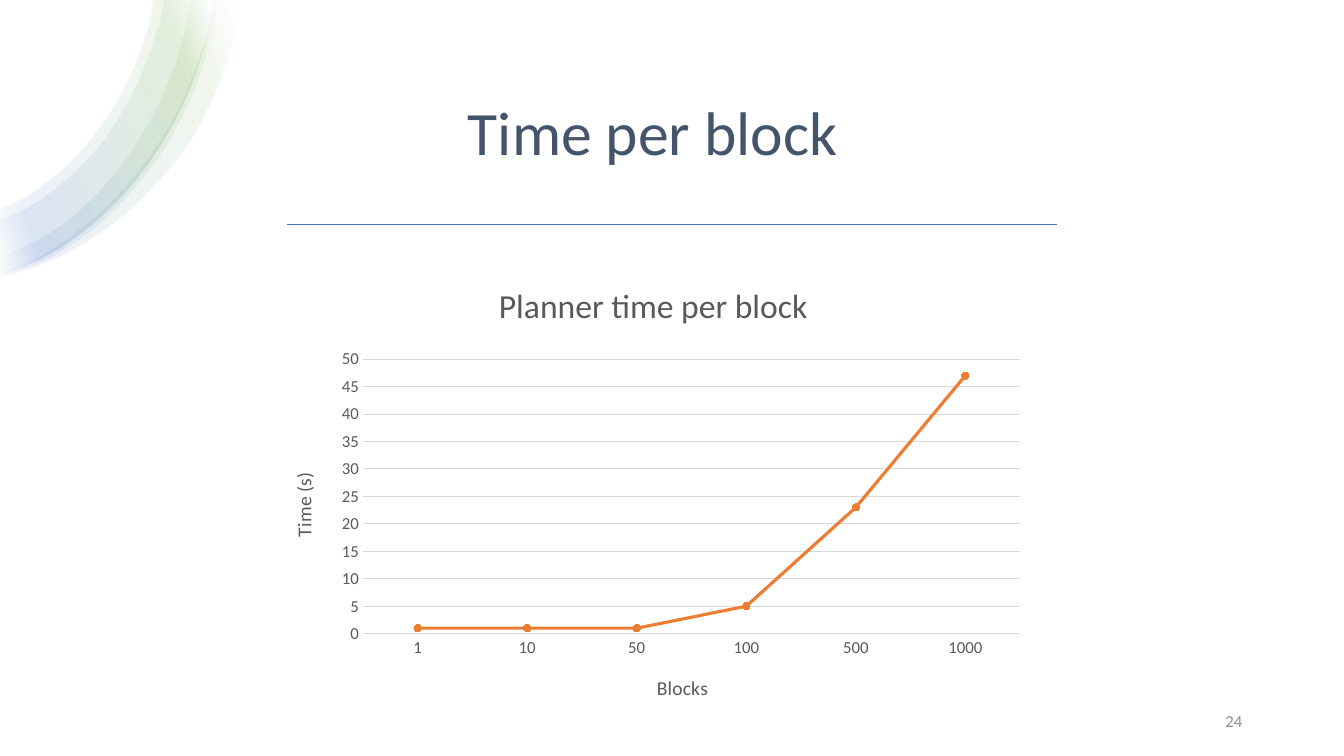
from pptx import Presentation, oxml, util as u
from pptx.chart import data as feed
from pptx.dml import color
from pptx.enum import chart as kinds, shapes, text
from pptx.oxml import ns

BLUE, GREEN, WHITE = "4472C4", "70AD47", "FFFFFF"
GREY, PALE, ORANGE = "595959", "D9D9D9", "ED7D31"

ARC = [(0, 2.73), (.06, 2.71), (.12, 2.68), (.18, 2.66),
       (1.16, 2.28), (1.91, 1.24), (2.11, .1), (2.11, .07), (2.12, .03), (2.12, 0)]
BANDS = [
    ([(0, 2.75), (.14, 2.71), (.27, 2.67), (.4, 2.62), (.57, 2.55), (.73, 2.47), (.89, 2.37),
      (1.13, 2.22), (1.35, 2.04), (1.54, 1.82), (1.74, 1.62), (1.91, 1.37), (2.04, 1.11),
      (2.17, .85), (2.27, .57), (2.33, .28), (2.34, .19), (2.36, .09), (2.37, 0)],
     [(2.12, 0), (2.1, .16), (2.06, .33), (2, .48), (1.95, .65), (1.88, .82), (1.81, .99),
      (1.69, 1.24), (1.55, 1.47), (1.38, 1.68), (1.22, 1.89), (1.03, 2.09), (.82, 2.25),
      (.68, 2.36), (.53, 2.47), (.37, 2.55), (.25, 2.61), (.12, 2.66), (0, 2.7)]),
    (ARC,
     [(1.53, 0), (1.49, .18), (1.45, .35), (1.39, .51), (1.28, .82), (1.11, 1.13), (.9, 1.38),
      (.7, 1.63), (.45, 1.84), (.2, 1.98), (.13, 2.01), (.07, 2.04), (0, 2.07)]),
    ([(0, 2.74), (.14, 2.7), (.28, 2.65), (.42, 2.58), (.74, 2.43), (1.03, 2.2), (1.27, 1.93),
      (1.5, 1.68), (1.72, 1.36), (1.87, 1.02), (1.98, .77), (2.06, .51), (2.12, .23),
      (2.13, .15), (2.14, .08), (2.15, 0)],
     [(1.89, 0), (1.87, .14), (1.84, .28), (1.8, .42), (1.76, .59), (1.7, .75), (1.63, .9),
      (1.49, 1.22), (1.31, 1.51), (1.1, 1.76), (.87, 2.03), (.61, 2.26), (.33, 2.39),
      (.22, 2.45), (.11, 2.5), (0, 2.54)]),
    (ARC,
     [(1.63, 0), (1.59, .2), (1.54, .38), (1.48, .54), (1.36, .87), (1.19, 1.18), (.98, 1.45),
      (.76, 1.71), (.51, 1.92), (.25, 2.07), (.17, 2.11), (.08, 2.15), (0, 2.18)]),
]
STOPS = [(2, WHITE), (16, GREEN), (85, BLUE), (100, WHITE)]


def paint(code):
    return color.RGBColor.from_string(code)


def bend(lines):
    for i in range(0, len(lines), 3):
        arc = oxml.parse_xml(f'<a:cubicBezTo {ns.nsdecls("a")}/>')
        lines[i].addprevious(arc)
        for line in lines[i:i + 3]:
            arc.append(line[0])
            line.getparent().remove(line)


class Deck:
    """Draws styled elements on the current slide."""

    def __init__(self, face):
        self.face = face
        self.show = Presentation()
        self.show.slide_width, self.show.slide_height = u.Inches(13.33), u.Inches(7.5)
        self.page = self.show.slides.add_slide(self.show.slide_layouts[6]).shapes

    def style(self, font, size, code):
        font.name, font.size, font.bold = self.face, u.Pt(size), False
        font.color.rgb = paint(code)

    def panel(self, box, code):
        shape = self.page.add_shape(shapes.MSO_SHAPE.RECTANGLE, *map(u.Inches, box))
        shape.shadow.inherit = False
        shape.fill.solid()
        shape.fill.fore_color.rgb = paint(code)
        shape.line.fill.background()

    def label(self, box, words, size, code, align, lead=1.0):
        frame = self.page.add_textbox(*map(u.Inches, box)).text_frame
        frame.word_wrap = True
        frame.vertical_anchor = text.MSO_ANCHOR.MIDDLE
        frame.text = words
        para = frame.paragraphs[0]
        para.alignment, para.line_spacing = align, lead
        self.style(para.runs[0].font, size, code)

    def band(self, outer, inner):
        dots = [(round(x * 100), round(y * 100)) for x, y in outer + inner]
        pen = self.page.build_freeform(*dots[0], scale=u.Inches(.01))
        pen.add_line_segments(dots[1:])
        shape = pen.convert_to_shape()
        lines = list(shape._element.iter(ns.qn("a:lnTo")))
        bend(lines[:len(outer) - 1])
        bend(lines[len(outer):len(dots) - 1])
        shape.shadow.inherit = False
        shape.line.fill.background()
        shape.fill.gradient()
        shape.fill.gradient_angle = 200
        old = shape._element.spPr.find(".//" + ns.qn("a:gsLst"))
        marks = "".join(f'<a:gs pos="{at * 1000}"><a:srgbClr val="{code}">'
                        '<a:alpha val="10000"/></a:srgbClr></a:gs>' for at, code in STOPS)
        new = oxml.parse_xml(f'<a:gsLst {ns.nsdecls("a")}>{marks}</a:gsLst>')
        old.getparent().replace(old, new)

    def rule(self, x, y, end, code, width):
        line = self.page.add_connector(shapes.MSO_CONNECTOR.STRAIGHT,
                                       *map(u.Inches, (x, y, end, y)))
        line.line.color.rgb = paint(code)
        line.line.width = u.Pt(width)
        line._element.spPr.append(oxml.parse_xml(f'<a:effectLst {ns.nsdecls("a")}/>'))

    def place(self, node, after, **spots):
        for old in node.findall(ns.qn("c:layout")):
            node.remove(old)
        inner = '<c:layoutTarget val="inner"/>' if "w" in spots else ""
        modes = "".join(f'<c:{k}Mode val="edge"/>' for k in "xy")
        sizes = "".join(f'<c:{k} val="{v}"/>' for k, v in spots.items())
        part = oxml.parse_xml(f'<c:layout {ns.nsdecls("c")}><c:manualLayout>'
                              f'{inner}{modes}{sizes}</c:manualLayout></c:layout>')
        node.insert(after, part)

    def head(self, title, words, size, x, y):
        title.text_frame.text = words
        self.style(title.text_frame.paragraphs[0].runs[0].font, size, GREY)
        self.place(title._element, 1, x=x, y=y)

    def plot(self, box, cats, vals):
        feeds = feed.CategoryChartData()
        feeds.categories = cats
        feeds.add_series("Series 1", vals)
        chart = self.page.add_chart(kinds.XL_CHART_TYPE.LINE_MARKERS,
                                    *map(u.Inches, box), feeds).chart
        self.style(chart.font, 12, GREY)
        chart.has_legend = False
        foot, side = chart.category_axis, chart.value_axis
        self.head(chart.chart_title, "Planner time per block", 24, .29, .03)
        self.head(foot.axis_title, "Blocks", 14, .5, .89)
        self.head(side.axis_title, "Time (s)", 14, .02, .45)
        turn = side.axis_title.text_frame._txBody.bodyPr
        turn.set("rot", "-5400000")
        turn.set("vert", "horz")
        for axis in (foot, side):
            axis.major_tick_mark = axis.minor_tick_mark = kinds.XL_TICK_MARK.NONE
            self.style(axis.tick_labels.font, 12, GREY)
        side.minimum_scale, side.maximum_scale, side.major_unit = 0, 50, 5
        side.format.line.fill.background()
        for line in (foot.format.line, side.major_gridlines.format.line):
            line.color.rgb, line.width = paint(PALE), u.Pt(.75)
        self.place(chart._chartSpace.chart.plotArea, 0, x=.12, y=.21, w=.86, h=.6)
        chart.plots[0].vary_by_categories = False
        row = chart.plots[0].series[0]
        row.smooth = False
        row.format.line.color.rgb, row.format.line.width = paint(ORANGE), u.Pt(2.25)
        row.marker.style, row.marker.size = kinds.XL_MARKER_STYLE.CIRCLE, 5
        row.marker.format.fill.solid()
        row.marker.format.fill.fore_color.rgb = paint(ORANGE)
        row.marker.format.line.color.rgb = paint(ORANGE)


def main():
    deck = Deck("Calibri")
    deck.panel((0, 0, 13.33, 7.5), WHITE)
    deck.label((.88, .37, 11.19, 1.94), "Time per block", 44, "44546A",
               text.PP_ALIGN.CENTER, .9)
    for outer, inner in BANDS:
        deck.band(outer, inner)
    deck.label((9.42, 6.95, 3, .4), "24", 12, "8C8C8C", text.PP_ALIGN.RIGHT)
    deck.rule(2.85, 2.23, 10.48, BLUE, .5)
    deck.plot((2.69, 2.61, 7.58, 4.54), ["1", "10", "50", "100", "500", "1000"],
              [1, 1, 1, 5, 23, 47])
    deck.show.save("out.pptx")


if __name__ == "__main__":
    main()
